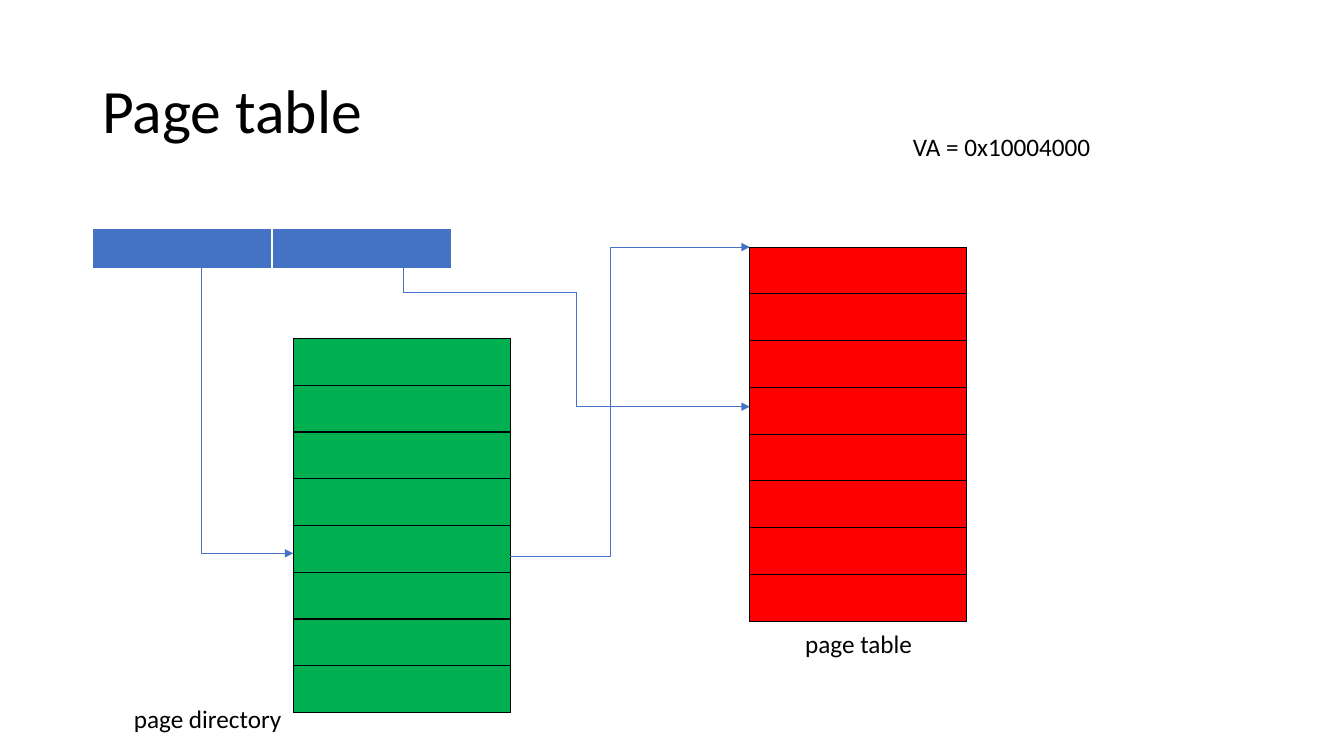
from dataclasses import dataclass
from typing import NamedTuple

from lxml import etree
from pptx import Presentation
from pptx.dml.color import RGBColor
from pptx.enum.shapes import MSO_CONNECTOR
from pptx.enum.text import MSO_ANCHOR, PP_ALIGN
from pptx.oxml.ns import qn
from pptx.util import Pt

STRAIGHT, ELBOW = MSO_CONNECTOR.STRAIGHT, MSO_CONNECTOR.ELBOW
MIDDLE, LEFT = MSO_ANCHOR.MIDDLE, PP_ALIGN.LEFT
TITLE_ONLY = 5


@dataclass(frozen=True)
class Theme:
    """Colours, font and type sizes of the slide."""
    font: str = "Calibri"
    title_size: int = 44
    label_size: int = 18
    text: str = "000000"
    blue: str = "4472C4"
    green: str = "00B050"
    red: str = "FF0000"
    white: str = "FFFFFF"
    grid: str = "000000"


class Box(NamedTuple):
    """A rectangle in points."""
    x: float
    y: float
    w: float
    h: float

    @property
    def pts(self):
        """Return the four lengths as Pt values."""
        return [Pt(v) for v in self]


THEME = Theme()


def add_run(p, text, size):
    """Add a run in the theme font and text colour."""
    r = p.add_run()
    r.text = text
    r.font.name = THEME.font
    r.font.size = Pt(size)
    r.font.color.rgb = RGBColor.from_string(THEME.text)


def add_title(s, box, text):
    """Move and fill the title placeholder."""
    sp = s.shapes.title
    sp.left, sp.top, sp.width, sp.height = box.pts
    tf = sp.text_frame
    tf.vertical_anchor = MIDDLE
    p = tf.paragraphs[0]
    p.alignment = LEFT
    p.line_spacing = 0.9
    add_run(p, text, THEME.title_size)


def add_label(s, box, text):
    """Add a wrapped one-line label."""
    tf = s.shapes.add_textbox(*box.pts).text_frame
    tf.word_wrap = True
    add_run(tf.paragraphs[0], text, THEME.label_size)


def set_borders(cell, color, bottom):
    """Draw 1 pt borders on a cell, with its own bottom width."""
    tc_pr = cell._tc.get_or_add_tcPr()
    widths = {"a:lnL": 1, "a:lnR": 1, "a:lnT": 1, "a:lnB": bottom}
    for i, (tag, width) in enumerate(widths.items()):
        ln = etree.Element(qn(tag), w=str(Pt(width)))
        fill = etree.SubElement(ln, qn("a:solidFill"))
        etree.SubElement(fill, qn("a:srgbClr"), val=color)
        tc_pr.insert(i, ln)


def add_cells(s, box, rows, cols, fill, border, bottom=1):
    """Add an empty table of equal cells that fills the box."""
    table = s.shapes.add_table(rows, cols, *box.pts).table
    table.first_row = table.horz_banding = False
    for row in table.rows:
        row.height = Pt(box.h / rows)
    for col in table.columns:
        col.width = Pt(box.w / cols)
    for cell in table.iter_cells():
        cell.fill.solid()
        cell.fill.fore_color.rgb = RGBColor.from_string(fill)
        set_borders(cell, border, bottom)


def add_line(s, start, end, kind=STRAIGHT, arrow=False, bend=None):
    """Connect two points, with an optional arrowhead and bend in percent."""
    points = [Pt(v) for v in (*start, *end)]
    cxn = s.shapes.add_connector(kind, *points)
    cxn.line.width = Pt(0.5)
    cxn.line.color.rgb = RGBColor.from_string(THEME.blue)
    sp_pr = cxn._element.spPr
    if arrow:
        etree.SubElement(sp_pr.find(qn("a:ln")), qn("a:tailEnd"), type="triangle")
    etree.SubElement(sp_pr, qn("a:effectLst"))
    if bend is not None:
        av = sp_pr.find(qn("a:prstGeom")).find(qn("a:avLst"))
        etree.SubElement(av, qn("a:gd"), name="adj1", fmla=f"val {bend * 1000}")


def add_links(s, address, directory, pages):
    """Link the address parts to the directory and the page table."""
    entry_y = directory.y + 153.5
    index_x = address.x + 77.5
    add_line(s, (index_x, entry_y), (directory.x, entry_y), arrow=True)
    add_line(s, (index_x, address.y + 25.5), (index_x, entry_y))

    exit_x = directory.x + directory.w
    turn_x = exit_x + 71.5
    add_line(s, (turn_x, pages.y), (pages.x, pages.y), arrow=True)
    add_line(s, (exit_x, entry_y + 2), (turn_x, pages.y), ELBOW, bend=100)

    offset_x, bend_y = address.x + 222, address.y + 45.5
    add_line(s, (offset_x, address.y + 27.5), (offset_x, bend_y))
    add_line(s, (offset_x, bend_y), (pages.x, pages.y + 114), ELBOW, arrow=True)


def build_page_table(prs):
    """Build the two-level address lookup slide."""
    s = prs.slides.add_slide(prs.slide_layouts[TITLE_ONLY])
    address = Box(66.25, 163.5, 256, 29.5)
    directory = Box(209.5, 241.75, 155, 267.25)
    pages = Box(535.5, 176.5, 155, 267.25)

    add_title(s, Box(66, 28.75, 1035 - 0, 104.5), "Page table")
    add_cells(s, address, 1, 2, THEME.blue, THEME.white, bottom=3)
    add_label(s, Box(645, 90, 225, 29), "VA = 0x10004000")
    add_cells(s, directory, 8, 1, THEME.green, THEME.grid)
    add_cells(s, pages, 8, 1, THEME.red, THEME.grid)
    add_links(s, address, directory, pages)
    add_label(s, Box(directory.x - 121, 499, 167, 29), "page directory")
    add_label(s, Box(pages.x + 32.5, 445, 167, 29), "page table")


def main():
    """Create and save the presentation."""
    prs = Presentation()
    prs.slide_width, prs.slide_height = Pt(960), Pt(540)
    build_page_table(prs)
    prs.save("out.pptx")


main()
